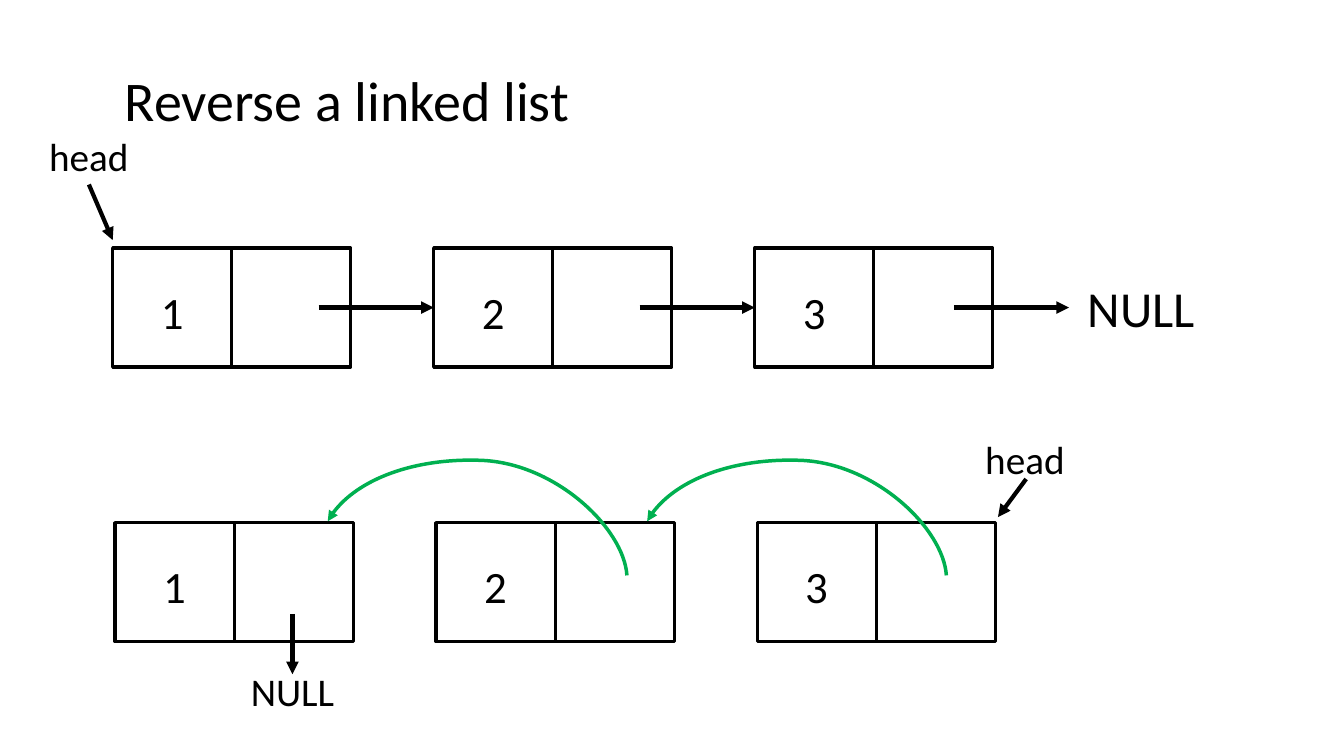
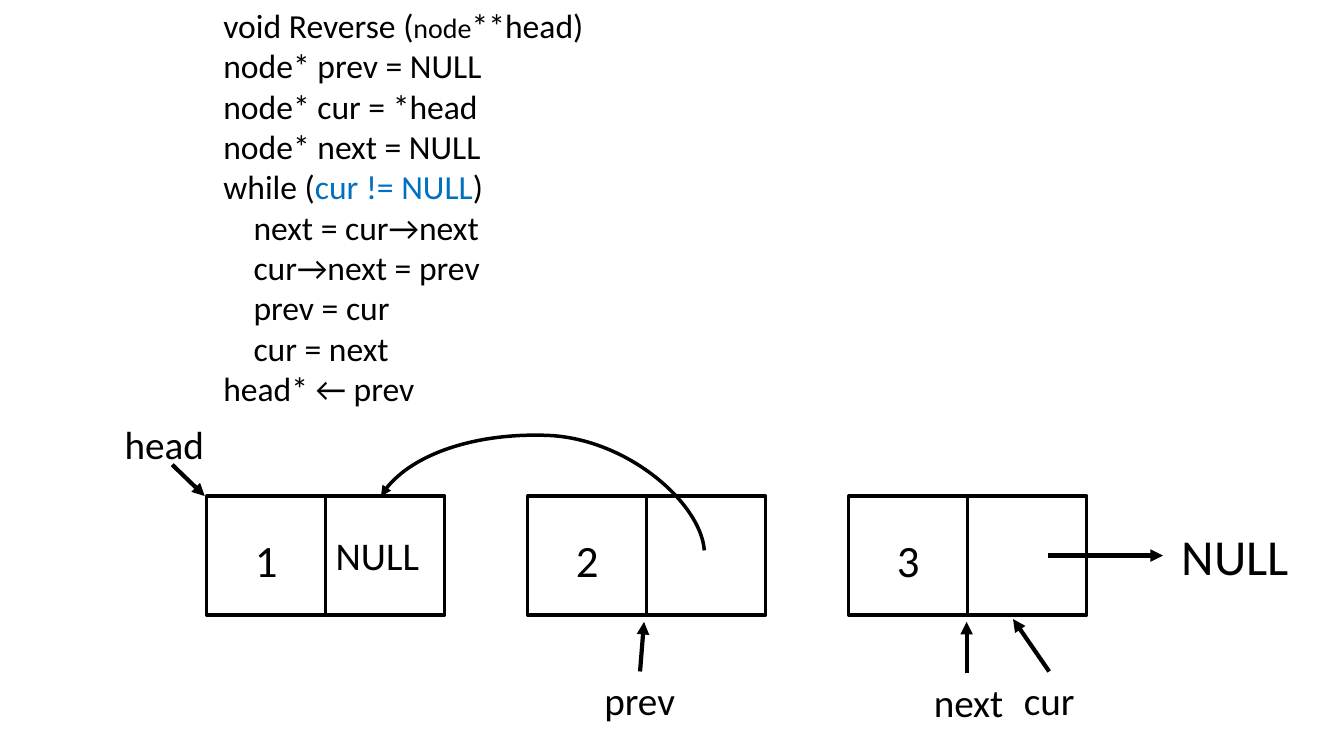
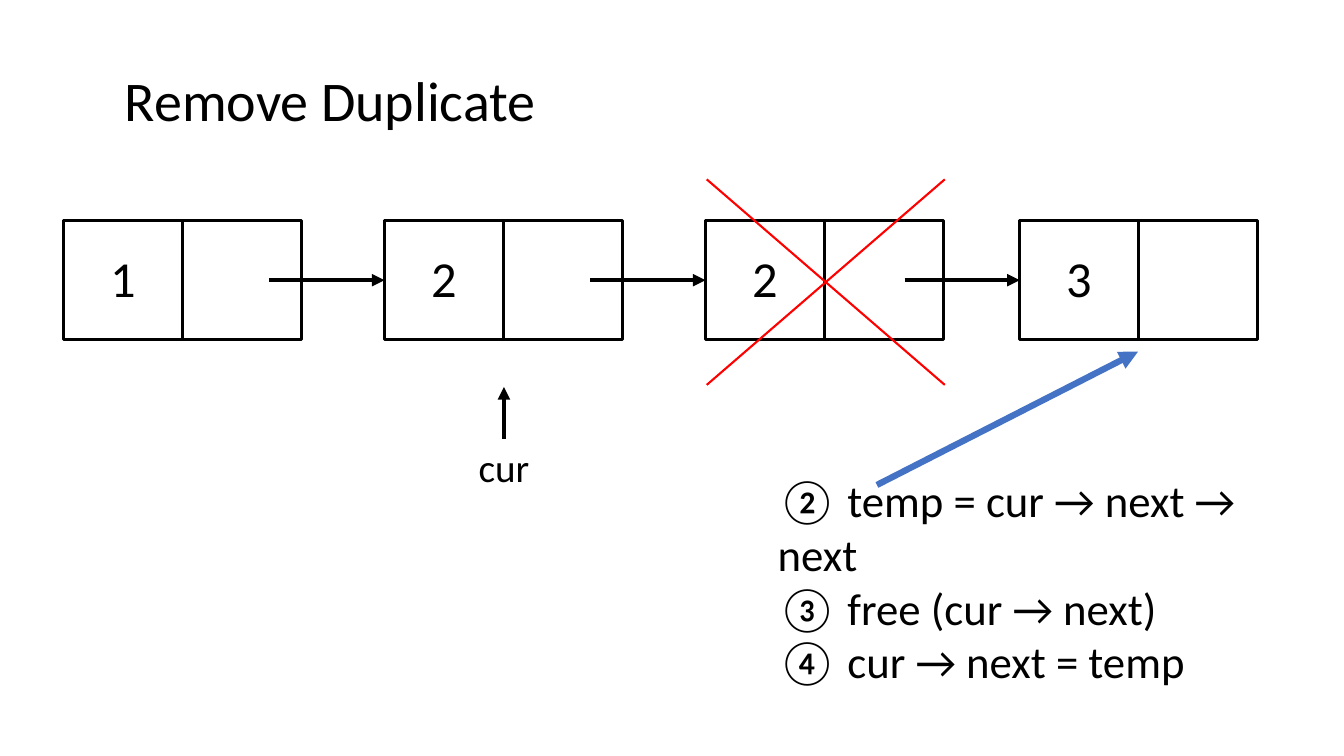
from lxml.etree import SubElement
from pptx import Presentation
from pptx.dml.color import RGBColor
from pptx.enum.shapes import MSO_CONNECTOR, MSO_SHAPE
from pptx.enum.text import MSO_AUTO_SIZE, PP_ALIGN
from pptx.oxml.ns import qn
from pptx.util import Cm, Pt

BLACK = RGBColor(0x00, 0x00, 0x00)
WHITE = RGBColor(0xFF, 0xFF, 0xFF)
GREEN = RGBColor(0x00, 0xB0, 0x50)
RED = RGBColor(0xFF, 0x00, 0x00)
BLUE = RGBColor(0x44, 0x72, 0xC4)
CODE_BLUE = RGBColor(0x00, 0x70, 0xC0)
FONT = "Calibri"

# All lengths below are centimetres.
NODE_WIDTH, NODE_HEIGHT = 6, 3
CELL_WIDTH = NODE_WIDTH / 2
NODE_OFFSETS = (0, 8.09, 16.18, 24.1)
LINK_LENGTH = 2.9
LABEL_WIDTH = 3
CODE_INDENT = 0.76
BACK_LINK_HEIGHT = 2.9
# Start, then two cubic segments, as fractions of the curve's box.
BACK_LINK_POINTS = ((1, 1), (0.99, 0.59), (0.76, 0.02), (0.51, 0),
                    (0.29, -0.02), (0.07, 0.19), (0, 0.53))

# Each line of code: indent level and its parts (text, size, colour).
CODE = (
    (0, (("void Reverse (", 24, BLACK), ("node", 20, BLACK), ("**head)", 24, BLACK))),
    (0, (("node* prev = NULL", 24, BLACK),)),
    (0, (("node* cur = *head", 24, BLACK),)),
    (0, (("node* next = NULL", 24, BLACK),)),
    (0, (("while (", 24, BLACK), ("cur != NULL", 24, CODE_BLUE), (")", 24, BLACK))),
    (1, (("next = cur→next", 24, BLACK),)),
    (1, (("cur→next = prev", 24, BLACK),)),
    (1, (("prev = cur", 24, BLACK),)),
    (1, (("cur = next", 24, BLACK),)),
    (0, (("head* ← prev", 24, BLACK),)),
)


def style_span(span, size, color=BLACK):
    span.font.name = FONT
    span.font.size = Pt(size)
    span.font.color.rgb = color


def add_frame(shapes, left, top, width, height):
    frame = shapes.add_textbox(Cm(left), Cm(top), Cm(width), Cm(height)).text_frame
    frame.word_wrap = True
    frame.auto_size = MSO_AUTO_SIZE.SHAPE_TO_FIT_TEXT
    return frame


def add_text(shapes, text, left, top, width, height, size, align=PP_ALIGN.LEFT):
    frame = add_frame(shapes, left, top, width, height)
    frame.text = text
    for para in frame.paragraphs:
        para.alignment = align
        for span in para.runs:
            style_span(span, size)


def add_title(page, text):
    add_text(page.shapes, text, 2.9, 1.52, 26.44, 1.96, 40)


def add_label(page, text, center, top):
    add_text(page.shapes, text, center - LABEL_WIDTH / 2, top,
             LABEL_WIDTH, 1.45, 28, PP_ALIGN.CENTER)


def add_arrowhead(shape):
    SubElement(shape.line._get_or_add_ln(), qn("a:tailEnd"), type="triangle")


def add_line(shapes, start, end, color=BLACK, width=3, arrow=True):
    line = shapes.add_connector(MSO_CONNECTOR.STRAIGHT, Cm(start[0]), Cm(start[1]),
                                Cm(end[0]), Cm(end[1]))
    line.line.color.rgb = color
    line.line.width = Pt(width)
    if arrow:
        add_arrowhead(line)
    SubElement(line._element.spPr, qn("a:effectLst"))


def add_back_link(page, left, top, width, color):
    """Curved arrow from the lower right of its box to the left edge."""
    points = [(Cm(left + x * width), Cm(top + y * BACK_LINK_HEIGHT))
              for x, y in BACK_LINK_POINTS]
    builder = page.shapes.build_freeform(*points[0])
    builder.add_line_segments(points[1:], close=False)
    curve = builder.convert_to_shape()
    curve.shadow.inherit = False
    curve.fill.background()
    curve.line.color.rgb = color
    curve.line.width = Pt(2.5)
    add_arrowhead(curve)

    # Every three straight segments become one cubic segment.
    outline = next(curve._element.iter(qn("a:path")))
    segments = outline.findall(qn("a:lnTo"))
    for first in range(0, len(segments), 3):
        cubic = SubElement(outline, qn("a:cubicBezTo"))
        for segment in segments[first:first + 3]:
            cubic.append(segment[0])
            outline.remove(segment)


def add_node(shapes, left, top):
    node = shapes.add_shape(MSO_SHAPE.RECTANGLE, Cm(left), Cm(top),
                            Cm(NODE_WIDTH), Cm(NODE_HEIGHT))
    node.shadow.inherit = False
    node.fill.solid()
    node.fill.fore_color.rgb = WHITE
    node.line.color.rgb = BLACK
    node.line.width = Pt(2.25)
    middle = left + CELL_WIDTH
    add_line(shapes, (middle, top), (middle, top + NODE_HEIGHT), width=2.25, arrow=False)


def add_linked_list(page, left, top, values, linked=(), value_size=32, value_top=0.79):
    """Row of nodes; linked holds the indexes of nodes with a forward arrow."""
    shapes = page.shapes.add_group_shape().shapes
    for offset, value in zip(NODE_OFFSETS, values):
        add_node(shapes, left + offset, top)
        add_text(shapes, value, left + offset, top + value_top,
                 CELL_WIDTH, 1.63, value_size, PP_ALIGN.CENTER)
    for index in linked:
        end, middle = left + NODE_OFFSETS[index + 1], top + NODE_HEIGHT / 2
        add_line(shapes, (end - LINK_LENGTH, middle), (end, middle))
        if index == len(values) - 1:
            add_text(shapes, "NULL", end + 0.22, top + 0.61, 6, 1.8, 36)


def add_cross(page, left, top, width, height):
    right, bottom = left + width, top + height
    add_line(page.shapes, (left, top), (right, bottom), RED, 1.5, arrow=False)
    add_line(page.shapes, (left, bottom), (right, top), RED, 1.5, arrow=False)


def add_code(page, left, top, width, height):
    frame = add_frame(page.shapes, left, top, width, height)
    for number, (level, parts) in enumerate(CODE):
        para = frame.add_paragraph() if number else frame.paragraphs[0]
        if level:
            para._p.get_or_add_pPr().set("marL", str(Cm(level * CODE_INDENT)))
        for text, size, color in parts:
            span = para.add_run()
            span.text = text
            style_span(span, size, color)


def build_reverse_page(page):
    add_title(page, "Reverse a linked list")
    add_linked_list(page, 2.84, 6.25, "123", linked=(0, 1, 2))
    add_label(page, "head", 2.24, 3.2)
    add_line(page.shapes, (2.24, 4.65), (2.84, 6.05))

    add_linked_list(page, 2.9, 13.17, "123")
    add_label(page, "head", 25.83, 10.85)
    add_line(page.shapes, (25.86, 12.07), (25.15, 13.03))
    for left in (16.31, 8.26):
        add_back_link(page, left, 11.6, 7.54, GREEN)
    add_line(page.shapes, (7.37, 15.47), (7.37, 16.99))
    add_label(page, "NULL", 7.37, 16.69)


def build_code_page(page):
    add_linked_list(page, 5.21, 12.5, "123", linked=(2,))
    add_label(page, "head", 4.14, 10.46)
    add_line(page.shapes, (4.34, 11.71), (5.16, 12.5))
    add_label(page, "NULL", 9.51, 13.26)
    for text, center, label_top, start, end in (
            ("prev", 16.12, 16.92, (16.13, 16.92), (16.23, 15.67)),
            ("cur", 26.44, 16.92, (26.44, 16.92), (25.53, 15.6)),
            ("next", 24.41, 16.97, (24.36, 16.97), (24.36, 15.67))):
        add_label(page, text, center, label_top)
        add_line(page.shapes, start, end)
    add_back_link(page, 9.6, 10.97, 8.15, BLACK)
    add_code(page, 5.38, 0, 10.36, 12.57)


def build_duplicate_page(page):
    add_title(page, "Remove Duplicate")
    add_linked_list(page, 1.6, 5.56, "1223", linked=(0, 1, 2),
                    value_size=36, value_top=0.54)
    add_cross(page, 17.81, 4.52, NODE_WIDTH, 5.18)
    steps = ("② temp = cur → next → next", "③ free (cur → next)", "④ cur → next = temp")
    add_text(page.shapes, "\n".join(steps), 19.35, 11.79, 14.22, 4.37, 32)
    add_line(page.shapes, (22.1, 12.22), (28.68, 8.86), BLUE, 4.5)
    add_line(page.shapes, (12.7, 11.05), (12.7, 9.75))
    add_label(page, "cur", 12.7, 11.05)


def main():
    deck = Presentation()
    deck.slide_width, deck.slide_height = Cm(33.87), Cm(19.05)
    blank = deck.slide_layouts[6]
    for build in (build_reverse_page, build_code_page, build_duplicate_page):
        build(deck.slides.add_slide(blank))
    deck.save("out.pptx")


if __name__ == "__main__":
    main()
